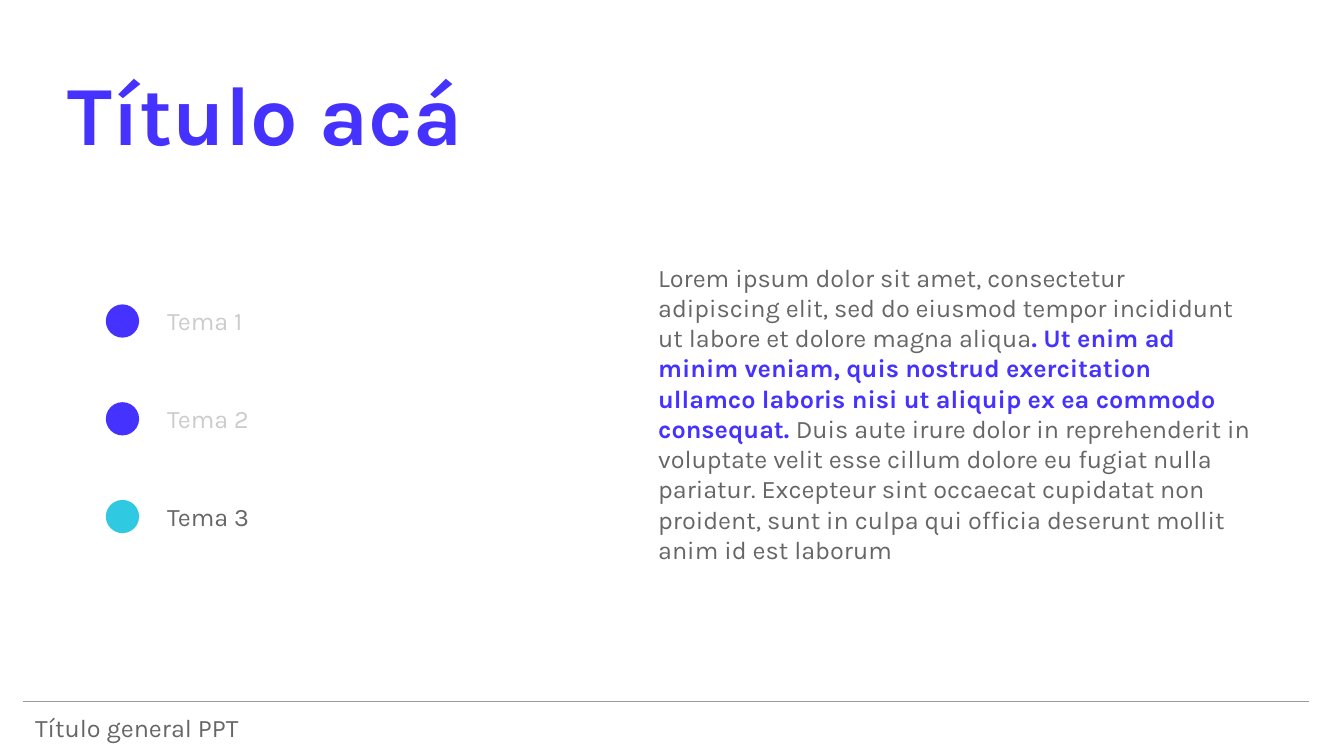
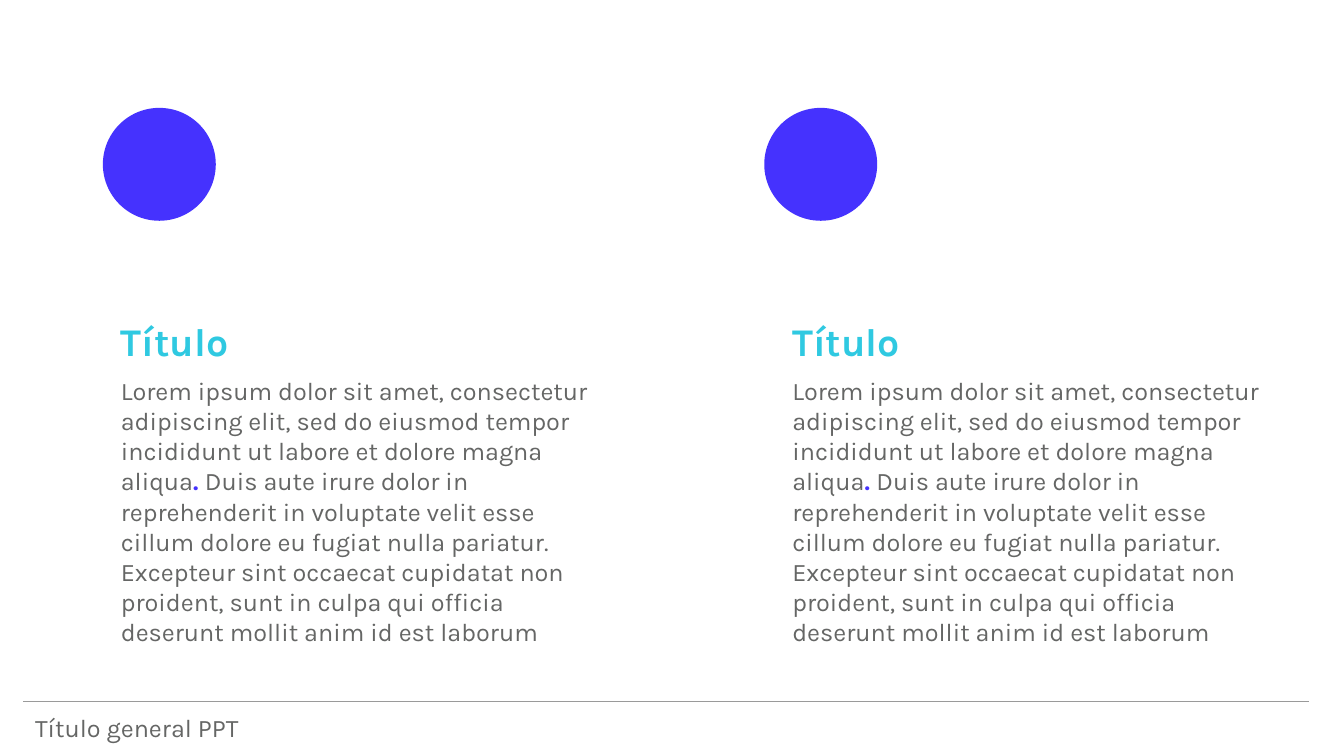
import pptx
import pptx.util
import pptx.dml.color
import pptx.enum.shapes
import pptx.enum.text
import lxml.etree

Inches = pptx.util.Inches
COLORS = {"blue": "4532FE", "cyan": "2FC9E1", "text": "656665",
          "pale": "CBCCCB", "rule": "9A9A9A", "back": "FFFFFF"}
FONT = "Karla"
FOOTER = "Título general PPT"
HEAD = "Título acá"
START = ("Lorem ipsum dolor sit amet, consectetur adipiscing elit, sed do eiusmod "
         "tempor incididunt ut labore et dolore magna aliqua")
BOLD = (". Ut enim ad minim veniam, quis nostrud exercitation ullamco laboris "
        "nisi ut aliquip ex ea commodo consequat. ")
END = ("Duis aute irure dolor in reprehenderit in voluptate velit esse cillum "
       "dolore eu fugiat nulla pariatur. Excepteur sint occaecat cupidatat non "
       "proident, sunt in culpa qui officia deserunt mollit anim id est laborum")
TOPICS = [("Tema 1", "blue", "pale"), ("Tema 2", "blue", "pale"), ("Tema 3", "cyan", "text")]
COLUMNS = [(1.02, 1.1, "Título"), (7.58, 7.76, "Título")]


def color(name):
    return pptx.dml.color.RGBColor.from_string(COLORS[name])


def add_text(slide, box, runs, size=18, middle=False):
    frame = slide.shapes.add_textbox(*map(Inches, box)).text_frame
    frame.word_wrap = True
    if middle:
        frame.vertical_anchor = pptx.enum.text.MSO_ANCHOR.MIDDLE
    else:
        frame.auto_size = pptx.enum.text.MSO_AUTO_SIZE.SHAPE_TO_FIT_TEXT
    for words, tone, bold in runs:
        run = frame.paragraphs[0].add_run()
        run.text = words
        run.font.name = FONT
        run.font.size = pptx.util.Pt(size)
        run.font.bold = bold
        run.font.color.rgb = color(tone)


def add_body(slide, box, accent):
    add_text(slide, box, [(START, "text", False), (accent, "blue", True), (END, "text", False)])


def add_dot(slide, left, top, size, tone):
    dot = slide.shapes.add_shape(pptx.enum.shapes.MSO_SHAPE.OVAL,
                                 *map(Inches, (left, top, size, size)))
    dot.shadow.inherit = False
    dot.fill.solid()
    dot.fill.fore_color.rgb = color(tone)
    dot.line.fill.background()


def add_slide(deck):
    slide = deck.slides.add_slide(deck.slide_layouts[6])
    slide.background.fill.solid()
    slide.background.fill.fore_color.rgb = color("back")
    rule = slide.shapes.add_connector(pptx.enum.shapes.MSO_CONNECTOR.STRAIGHT,
                                      *map(Inches, (0.23, 6.96, 12.98, 6.96)))
    rule.line.color.rgb = color("rule")
    rule.line.width = pptx.util.Pt(0.5)
    lxml.etree.SubElement(rule.element.spPr, pptx.oxml.ns.qn("a:effectLst"))
    add_text(slide, (0.25, 7.02, 5.57, 0.4), [(FOOTER, "text", False)])
    return slide


def topic_slide(deck):
    slide = add_slide(deck)
    for row, (label, dot, tone) in enumerate(TOPICS):
        top = 2.98 + row * 0.97
        add_text(slide, (1.56, top, 5.57, 0.4), [(label, tone, False)])
        add_dot(slide, 1.05, top + 0.04, 0.33, dot)
    add_body(slide, (6.43, 2.55, 6.07, 3.13), BOLD)
    add_text(slide, (0.57, 0.51, 4.88, 1.2), [(HEAD, "blue", True)], 60, True)


def column_slide(deck):
    slide = add_slide(deck)
    for dot, left, title in COLUMNS:
        add_dot(slide, dot, 1.07, 1.12, "blue")
        add_text(slide, (left, 3.1, 1.41, 0.57), [(title, "cyan", True)], 28)
        add_body(slide, (left, 3.67, 4.98, 3.13), ". ")


def main():
    deck = pptx.Presentation()
    deck.slide_width = Inches(13.33)
    deck.slide_height = Inches(7.5)
    topic_slide(deck)
    column_slide(deck)
    deck.save("out.pptx")


if __name__ == "__main__":
    main()
